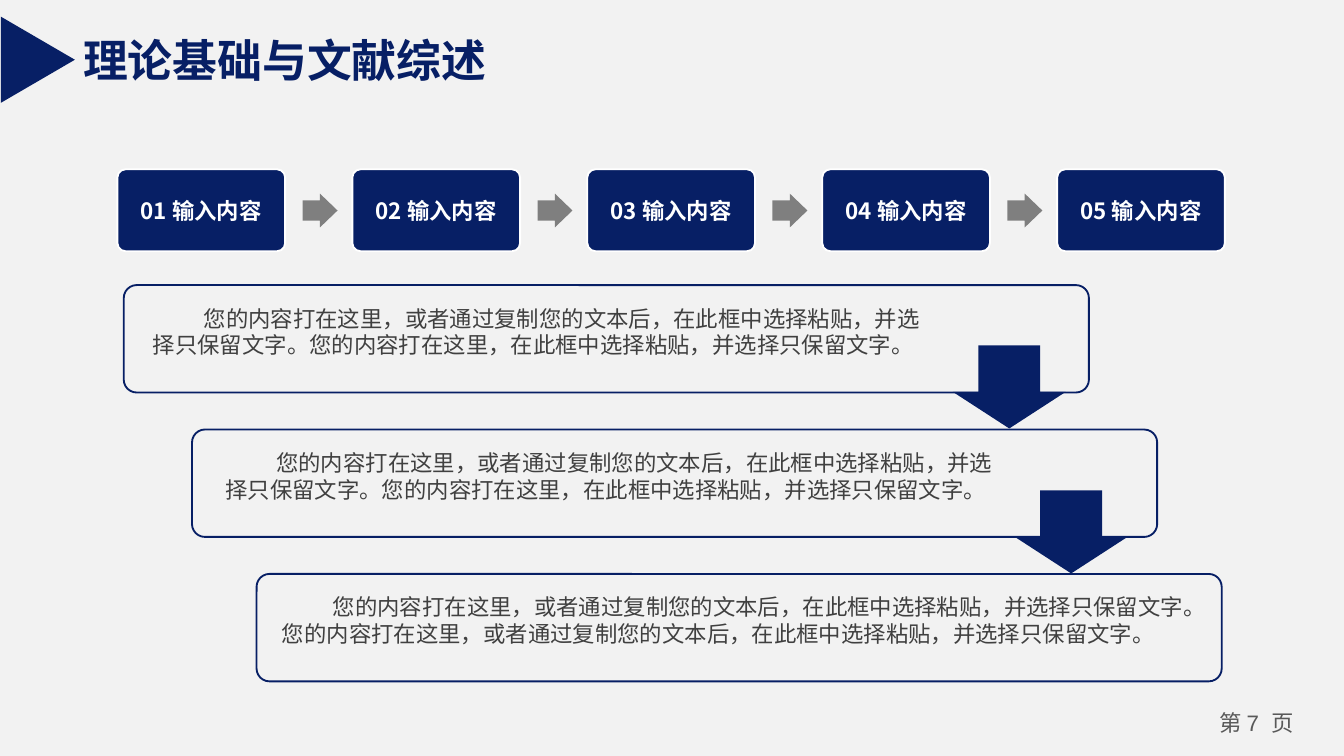
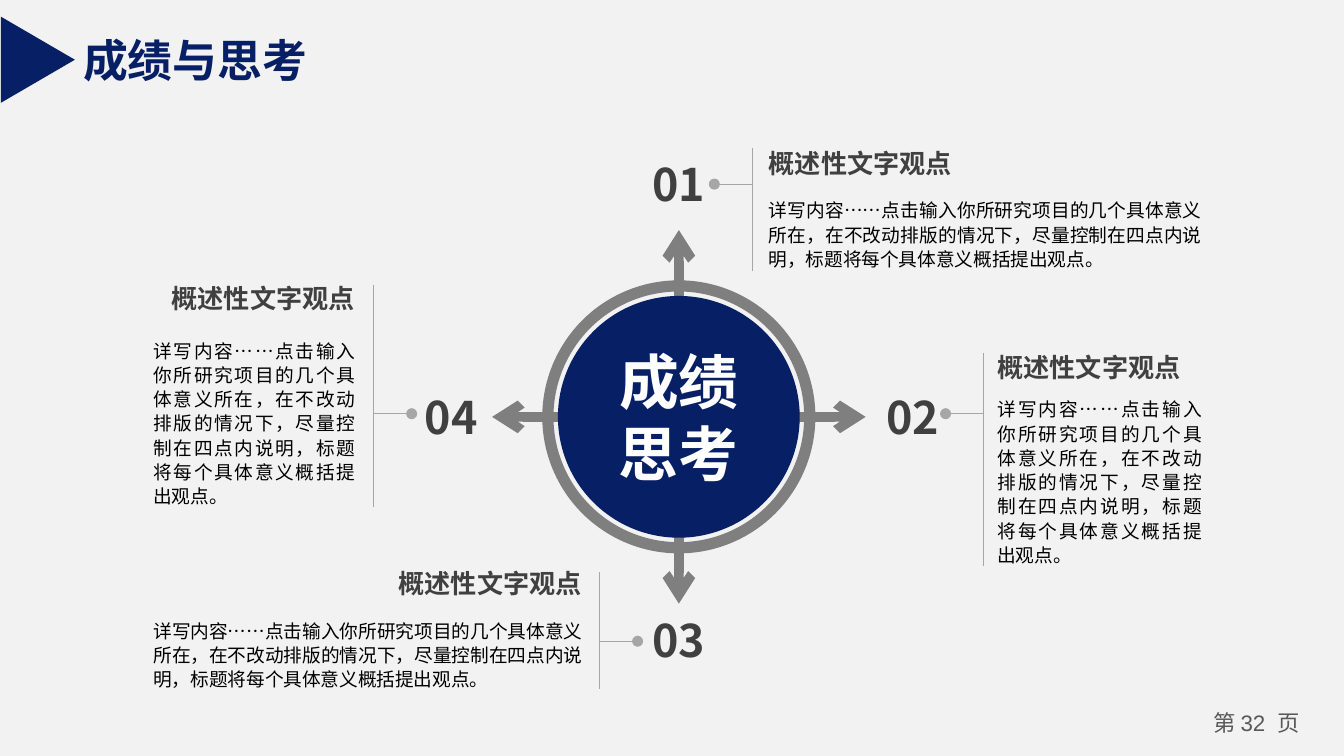
"""Build two navy and grey thesis slides: a stepped process and a four-way summary."""
from lxml.etree import SubElement
from pptx import Presentation
from pptx.dml.color import RGBColor
from pptx.enum.shapes import MSO_CONNECTOR, MSO_SHAPE
from pptx.enum.text import MSO_ANCHOR, PP_ALIGN
from pptx.oxml.ns import qn
from pptx.util import Cm, Pt


class Theme:
    paper, navy, white, black = "F2F2F2", "071F65", "FFFFFF", "000000"
    ink, footer, grey, rule = "404040", "595959", "7F7F7F", "A6A6A6"
    cjk, latin = "Noto Sans CJK SC", "Arial"
    hub, title, heading, text, detail = 32, 24, 14, 12, 10


def box(s, kind, x, y, w, h, text="", size=Theme.text, color=Theme.ink, bold=False,
        align=PP_ALIGN.LEFT, font=Theme.cjk, pad=(0.25, 0.13), fill=None, edge=None,
        weight=1, adj=()):
    at = Cm(x), Cm(y), Cm(w), Cm(h)
    if kind is None:
        sp = s.shapes.add_textbox(*at)
    else:
        sp = s.shapes.add_shape(kind, *at)
        sp.shadow.inherit = False
        for i, value in enumerate(adj):
            sp.adjustments[i] = value
        for paint, tint in ((sp.fill, fill), (sp.line.fill, edge)):
            if tint:
                paint.solid()
                paint.fore_color.rgb = RGBColor.from_string(tint)
            else:
                paint.background()
        if edge:
            sp.line.width = Pt(weight)
    if text:
        tf = sp.text_frame
        tf.text = text
        tf.word_wrap = True
        tf.vertical_anchor = MSO_ANCHOR.MIDDLE if kind else MSO_ANCHOR.TOP
        tf.margin_left = tf.margin_right = Cm(pad[0])
        tf.margin_top = tf.margin_bottom = Cm(pad[1])
        p = tf.paragraphs[0]
        p.alignment = align
        r = p.runs[0]
        r.font.size, r.font.bold, r.font.name = Pt(size), bold, font
        r.font.color.rgb = RGBColor.from_string(color)
        SubElement(r.font._element, qn("a:ea")).set("typeface", Theme.cjk)
    return sp


def line(s, x1, y1, x2, y2, color, width, end=None):
    cn = s.shapes.add_connector(MSO_CONNECTOR.STRAIGHT, Cm(x1), Cm(y1), Cm(x2), Cm(y2))
    cn.line.color.rgb = RGBColor.from_string(color)
    cn.line.width = Pt(width)
    if end:
        SubElement(cn.line._get_or_add_ln(), qn("a:tailEnd")).set("type", end)
    SubElement(cn._element.spPr, qn("a:effectLst"))


prs = Presentation()
prs.slide_width, prs.slide_height = Cm(25.4), Cm(14.29)
paper = prs.slide_master.background.fill
paper.solid()
paper.fore_color.rgb = RGBColor.from_string(Theme.paper)

for title, number in (("理论基础与文献综述", 7), ("成绩与思考", 32)):
    s = prs.slides.add_slide(prs.slide_layouts[6])
    box(s, None, 22.6, 13.3, 2.3, 0.77, f"第 {number}  页", color=Theme.footer,
        align=PP_ALIGN.CENTER, font=Theme.latin, pad=(0.18, 0.1))
    box(s, None, 1.32, 0.48, 0.85 * len(title) + 0.55, 1.27, title, Theme.title,
        Theme.navy, True, font=Theme.latin)
    sp = box(s, MSO_SHAPE.ISOSCELES_TRIANGLE, -0.1, 0.43, 1.63, 1.4, fill=Theme.navy)
    sp.rotation = 90

process, summary = prs.slides

opening = "您的内容打在这里，或者通过复制您的文本后，在此框中选择粘贴，并选择只保留文字。"
short = opening + "您的内容打在这里，在此框中选择粘贴，并选择只保留文字。"
panels = ((2.34, 2.64, 15.09, short), (3.63, 4.01, 15.04, short),
          (4.85, 5.08, 17.68, opening * 2))
for i, (x, text_x, text_w, text) in enumerate(panels):
    y = 5.39 + 2.73 * i
    box(process, MSO_SHAPE.ROUNDED_RECTANGLE, x, y, 18.24, 2.03,
        fill=Theme.paper, edge=Theme.navy, adj=(0.12,))
    sp = box(process, None, text_x, y + 0.24, text_w, 1.19, text)
    sp.text_frame.paragraphs[0]._p.get_or_add_pPr().set("indent", str(Cm(0.96)))

for i in range(5):
    x = 2.22 + 4.44 * i
    box(process, MSO_SHAPE.ROUNDED_RECTANGLE, x, 3.2, 3.17, 1.55, f"0{i + 1} 输入内容",
        color=Theme.white, bold=True, align=PP_ALIGN.CENTER,
        fill=Theme.navy, edge=Theme.white, adj=(0.1,))
    if i < 4:
        box(process, MSO_SHAPE.RIGHT_ARROW, x + 3.5, 3.66, 0.66, 0.64,
            fill=Theme.grey, adj=(0.6, 0.52))

for x, y in ((18.01, 6.53), (19.18, 9.27)):
    box(process, MSO_SHAPE.DOWN_ARROW, x, y, 2.13, 1.57, fill=Theme.navy, adj=(0.55, 0.44))

cx, cy = 12.83, 7.88
ring, disc = 4.95, 4.57
box(summary, MSO_SHAPE.OVAL, cx - ring / 2, cy - ring / 2, ring, ring,
    edge=Theme.grey, weight=6)
for dx, dy in ((0, -1), (1, 0), (0, 1), (-1, 0)):
    line(summary, cx + 1.98 * dx, cy + 1.98 * dy, cx + 3.53 * dx, cy + 3.53 * dy,
         Theme.grey, 5, "arrow")
box(summary, MSO_SHAPE.OVAL, cx - disc / 2, cy - disc / 2, disc, disc, "成绩思考",
    Theme.hub, Theme.white, True, PP_ALIGN.CENTER, fill=Theme.navy)

detail = ("详写内容……点击输入你所研究项目的几个具体意义所在，在不改动排版的情况下，"
          "尽量控制在四点内说明，标题将每个具体意义概括提出观点。")
heading_w = 3.86
callouts = (
    ("01", 1, (12.17, 2.97), 2.79, (14.53, 3.73, 8.18, 1.4), (14.22, 2.79, 5.13), 3.48),
    ("02", 1, (16.59, 7.37), 6.65, (18.85, 7.49, 3.86, 3.25), (18.59, 6.68, 10.69), 7.82),
    ("03", -1, (12.17, 11.58), 10.72, (2.9, 11.68, 8.1, 1.4), (11.33, 10.82, 13.03), 12.12),
    ("04", -1, (7.87, 7.37), 5.33, (2.9, 6.38, 3.81, 3.25), (7.06, 5.38, 9.58), 7.82),
)
for label, side, label_at, heading_y, body, (rule_x, top, bottom), pin_y in callouts:
    x, y, w, h = body
    heading_x = x if side > 0 else x + w - heading_w
    box(summary, None, *label_at, 1.32, 1.02, label, Theme.title, bold=True,
        align=PP_ALIGN.CENTER, pad=(0, 0))
    box(summary, None, heading_x, heading_y, heading_w, 0.61, "概述性文字观点",
        Theme.heading, bold=True, pad=(0, 0),
        align=PP_ALIGN.LEFT if side > 0 else PP_ALIGN.RIGHT)
    sp = box(summary, None, *body, detail, Theme.detail, Theme.black,
             align=PP_ALIGN.JUSTIFY, pad=(0, 0))
    sp.text_frame.paragraphs[0].line_spacing = Pt(13)
    line(summary, rule_x, top, rule_x, bottom, Theme.rule, 0.5)
    line(summary, rule_x, pin_y, rule_x - 0.72 * side, pin_y, Theme.rule, 0.5, "oval")

prs.save("out.pptx")
